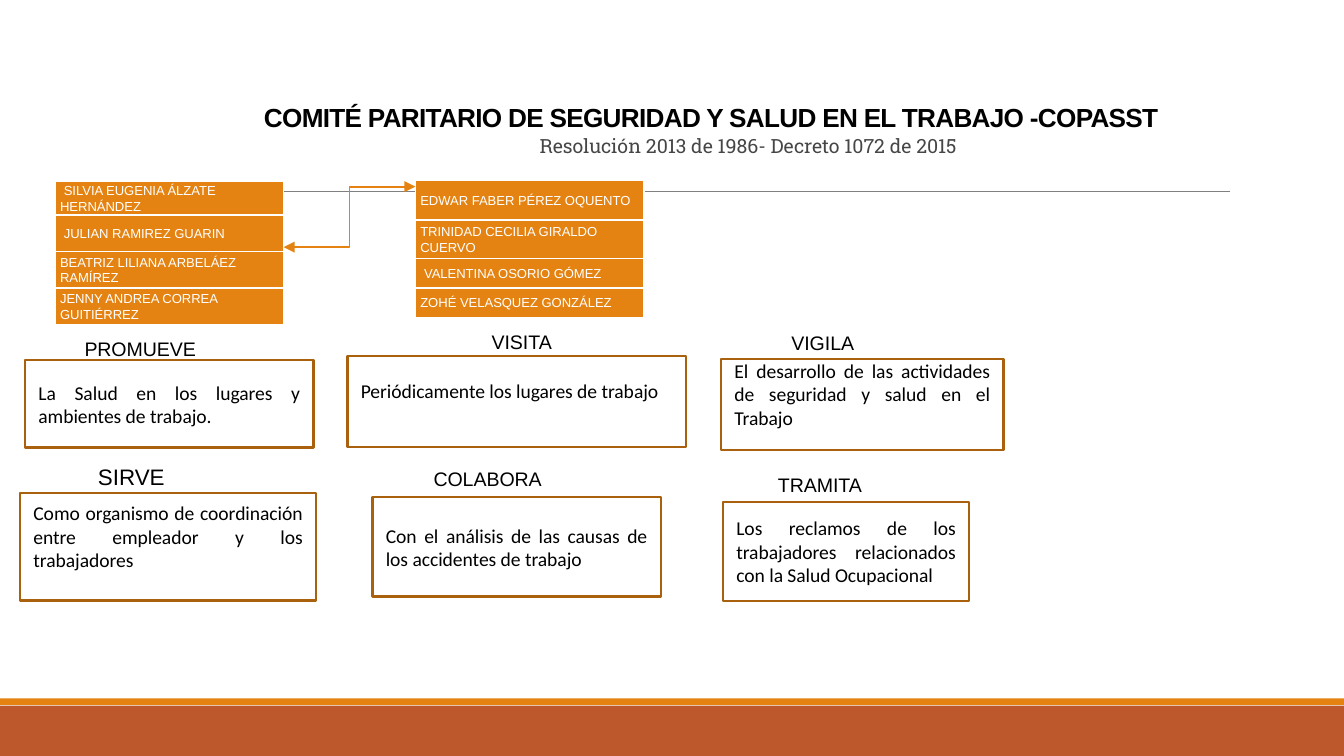
from lxml import etree
from pptx import Presentation
from pptx.dml.color import RGBColor
from pptx.enum.shapes import MSO_CONNECTOR, MSO_SHAPE
from pptx.enum.text import MSO_ANCHOR, MSO_AUTO_SIZE, PP_ALIGN
from pptx.oxml.ns import qn
from pptx.util import Pt

RECT = MSO_SHAPE.RECTANGLE
STRAIGHT, ELBOW = MSO_CONNECTOR.STRAIGHT, MSO_CONNECTOR.ELBOW
TOP, MIDDLE, BOTTOM = MSO_ANCHOR.TOP, MSO_ANCHOR.MIDDLE, MSO_ANCHOR.BOTTOM
LEFT, CENTER, JUSTIFY = PP_ALIGN.LEFT, PP_ALIGN.CENTER, PP_ALIGN.JUSTIFY

ORANGE, RUST, BROWN = "E48312", "BD582C", "A9610D"
BLACK, WHITE, GRAY, DARK = "000000", "FFFFFF", "808080", "464646"

TITLE = "COMITÉ PARITARIO DE SEGURIDAD Y SALUD EN EL TRABAJO -COPASST"
LAW = "Resolución 2013 de 1986- Decreto 1072 de 2015"

# left, top, then rows of (name, height, first-line indent)
TEAMS = [
    (29.5, 97.2, [("SILVIA EUGENIA ÁLZATE HERNÁNDEZ", 17.6, 2),
                  ("JULIAN RAMIREZ GUARIN", 19.6, 2),
                  ("BEATRIZ LILIANA ARBELÁEZ RAMÍREZ", 19.6, 0),
                  ("JENNY ANDREA CORREA GUITIÉRREZ", 19.6, 0)]),
    (222.5, 96.5, [("EDWAR FABER PÉREZ OQUENTO", 21.4, 0),
                   ("TRINIDAD CECILIA GIRALDO CUERVO", 20.6, 0),
                   ("VALENTINA OSORIO GÓMEZ", 15.8, 2),
                   ("ZOHÉ VELASQUEZ GONZÁLEZ", 15.8, 0)]),
]
TEAM_W = 122.4

# label, its left, top, width and size; text, its box, gap above (None: centred)
DUTIES = [
    ("PROMUEVE", (38.2, 177.1, 84.2), 10.5,
     "La Salud en los lugares y ambientes de trabajo.",
     (13.5, 193, 154.4, 46.8), None),
    ("VISITA", (256.3, 173, 54.7), 10.5,
     "Periódicamente los lugares de trabajo",
     (186.2, 190.8, 181.4, 48.7), 12.3),
    ("VIGILA", (416.9, 173.5, 84.2), 10.5,
     "El desarrollo de las actividades de seguridad y salud en el Trabajo",
     (386.4, 192.2, 151.2, 49), 0),
    ("SIRVE", (45.4, 244.8, 69.8), 12,
     "Como organismo de coordinación entre empleador y los trabajadores",
     (10.8, 264.2, 158.6, 57.6), 4.3),
    ("COLABORA", (225.2, 246.8, 79.2), 10.5,
     "Con el análisis de las causas de los accidentes de trabajo",
     (199.6, 266.4, 154.4, 53.3), None),
    ("TRAMITA", (409.7, 249.8, 68.4), 10.5,
     "Los reclamos de los trabajadores relacionados con la Salud Ocupacional",
     (387.4, 268.8, 131.8, 53.3), None),
]


def rgb(code):
    return RGBColor.from_string(code)


def pts(*nums):
    return [Pt(n) for n in nums]


def write(frame, text, face, size, color, align=LEFT, anchor=TOP):
    frame.word_wrap = True
    frame.vertical_anchor = anchor
    para = frame.paragraphs[0]
    para.text = text
    para.alignment = align
    font = para.font
    font.name, font.size = face, Pt(size)
    font.color.rgb = rgb(color)
    return para


def add_rect(slide, box, fill=None, edge=None):
    rect = slide.shapes.add_shape(RECT, *pts(*box))
    rect.shadow.inherit = False
    if fill:
        rect.fill.solid()
        rect.fill.fore_color.rgb = rgb(fill)
    else:
        rect.fill.background()
    if edge:
        rect.line.color.rgb = rgb(edge)
        rect.line.width = Pt(1.25)
    else:
        rect.line.fill.background()
    return rect


def add_text(slide, box, *style):
    write(slide.shapes.add_textbox(*pts(*box)).text_frame, *style)


def add_line(slide, kind, ends, color, width):
    link = slide.shapes.add_connector(kind, *pts(*ends))
    link.line.color.rgb = rgb(color)
    link.line.width = Pt(width)
    etree.SubElement(link._element.spPr, qn("a:effectLst"))
    return link


def add_border(cell):
    """Give all four sides of a cell a thin white line."""
    props = cell._tc.get_or_add_tcPr()
    for spot, side in enumerate(("lnL", "lnR", "lnT", "lnB")):
        edge = etree.Element(qn("a:" + side), w=str(Pt(1)))
        fill = etree.SubElement(edge, qn("a:solidFill"))
        etree.SubElement(fill, qn("a:srgbClr"), val=WHITE)
        props.insert(spot, edge)


def add_team(slide, left, top, rows):
    high = sum(row[1] for row in rows)
    table = slide.shapes.add_table(
        len(rows), 1, *pts(left, top, TEAM_W, high)).table
    for i, (name, height, indent) in enumerate(rows):
        table.rows[i].height = Pt(height)
        cell = table.cell(i, 0)
        cell.fill.solid()
        cell.fill.fore_color.rgb = rgb(ORANGE)
        cell.margin_left = cell.margin_right = Pt(2.7)
        cell.margin_top = cell.margin_bottom = 0
        para = write(cell.text_frame, name, "Arial", 7, WHITE)
        cell.vertical_anchor = MIDDLE
        para.font.bold = False
        para.line_spacing = 1.07
        para._p.get_or_add_pPr().set("indent", str(Pt(indent)))
        add_border(cell)


def add_duty(slide, label, spot, size, text, box, gap):
    add_text(slide, (*spot, 20), label, "Arial", size, BLACK)
    frame = add_rect(slide, box, edge=BROWN).text_frame
    if gap is not None:
        frame.margin_top, frame.margin_bottom = Pt(gap), 0
    write(frame, text, "Calibri", 10.5, BLACK, JUSTIFY,
          MIDDLE if gap is None else TOP)


def set_title(slide):
    title = slide.shapes.title
    title.left, title.top, title.width, title.height = pts(
        70.6, 50.4, 620.6, 24.5)
    para = write(title.text_frame, TITLE, "Arial", 14, BLACK, CENTER, BOTTOM)
    title.text_frame.auto_size = MSO_AUTO_SIZE.NONE
    para.line_spacing = 0.85
    para.font.bold = True
    para.runs[0]._r.get_or_add_rPr().set("spc", "-40")


def main():
    deck = Presentation()
    deck.slide_width, deck.slide_height = pts(720, 405)
    slide = deck.slides.add_slide(deck.slide_layouts[5])
    add_rect(slide, (0, 378, 720, 27), RUST)
    add_rect(slide, (0, 374.1, 720, 3.6), ORANGE)
    add_line(slide, STRAIGHT, (70.6, 102.6, 658.8, 102.6), GRAY, 0.5)
    set_title(slide)
    add_text(slide, (282, 68.4, 360, 20), LAW, "Roboto Slab", 10.5, DARK)
    for duty in DUTIES:
        add_duty(slide, *duty)
    for team in TEAMS:
        add_team(slide, *team)
    link = add_line(slide, ELBOW, (151.9, 132.4, 222.5, 100), ORANGE, 1)
    for end in ("headEnd", "tailEnd"):
        etree.SubElement(link.line._get_or_add_ln(), qn("a:" + end),
                         type="triangle")
    deck.save("out.pptx")


if __name__ == "__main__":
    main()
